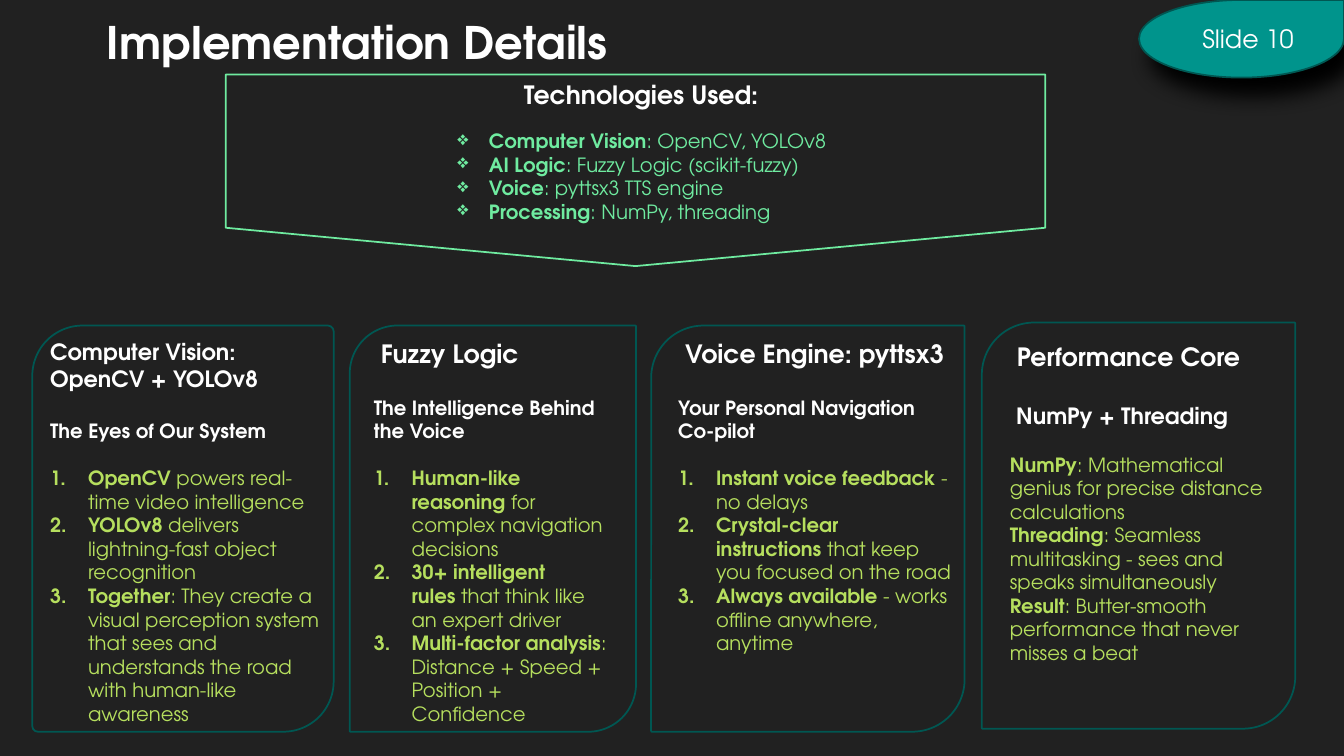
from lxml.etree import SubElement
from pptx import Presentation
from pptx.dml.color import RGBColor
from pptx.enum.shapes import MSO_SHAPE
from pptx.enum.text import MSO_AUTO_SIZE
from pptx.oxml.ns import qn
from pptx.util import Pt

# Content: boxes are left, top, width, height in points
FONT = "TeX Gyre Adventor"
COLORS = {"background": "212121", "white": "FFFFFF", "mint": "6FEBA0",
          "lime": "B6DF5E", "teal": "00948C", "dark_teal": "005752",
          "shadow": "000000"}

TITLE = "Implementation Details"
SLIDE_LABEL = "Slide 10"
TECH_HEADING = "Technologies Used:"
TECHNOLOGIES = [
    ("Computer Vision", ": OpenCV, YOLOv8"),
    ("AI Logic", ": Fuzzy Logic (scikit-fuzzy)"),
    ("Voice", ": pyttsx3 TTS engine"),
    ("Processing", ": NumPy, threading"),
]
CARDS = [
    {"frame": (23.04, 232.56, 215.28, 290.16), "corner": 0.019,
     "body": (28.8, 238.32, 215.28, 307.44),
     "heading": "Computer Vision: OpenCV + YOLOv8", "heading_size": 16,
     "subheading": "The Eyes of Our System",
     "points": [
         ("OpenCV", " powers real-time video intelligence"),
         ("YOLOv8", " delivers lightning-fast object recognition"),
         ("Together", ": They create a visual perception system that sees and "
                      "understands the road with human-like awareness")]},
    {"frame": (249.84, 232.56, 204.48, 290.16),
     "body": (259.92, 238.32, 181.44, 307.44),
     "heading": "Fuzzy Logic", "heading_indent": 5,
     "subheading": "The Intelligence Behind the Voice",
     "points": [
         ("Human-like reasoning", " for complex navigation decisions"),
         ("30+ intelligent rules", " that think like an expert driver"),
         ("Multi-factor analysis",
          ": Distance + Speed + Position + Confidence")]},
    {"frame": (465.12, 232.56, 223.92, 290.16),
     "body": (477.36, 238.32, 212.4, 257.04),
     "heading": "Voice Engine: pyttsx3", "heading_indent": 5,
     "subheading": "Your Personal Navigation Co-pilot",
     "points": [
         ("Instant voice feedback", " - no delays"),
         ("Crystal-clear instructions", " that keep you focused on the road"),
         ("Always available", " - works offline anywhere, anytime")]},
    {"frame": (701.28, 230.4, 223.92, 290.16),
     "body": (714.24, 240.48, 204.48, 262.08),
     "heading": "Performance Core", "heading_indent": 5,
     "subheading": "NumPy + Threading", "subheading_size": 16,
     "subheading_indent": 4.5, "subheading_gap": 21.6, "numbered": False,
     "points": [
         ("NumPy", ": Mathematical genius for precise distance calculations"),
         ("Threading", ": Seamless multitasking - sees and speaks "
                       "simultaneously"),
         ("Result", ": Butter-smooth performance that never misses a beat")]},
]

NO_BREAK_SPACE = chr(160)

presentation = Presentation()
presentation.slide_width, presentation.slide_height = Pt(960), Pt(540)
slide = presentation.slides.add_slide(presentation.slide_layouts[6])


def rgb(name):
    return RGBColor.from_string(COLORS[name])


def add_outline(preset, box, line, fill=None, adjustments=()):
    outline = slide.shapes.add_shape(preset, *map(Pt, box))
    outline.shadow.inherit = False
    for index, value in enumerate(adjustments):
        outline.adjustments[index] = value
    if fill:
        outline.fill.solid()
        outline.fill.fore_color.rgb = rgb(fill)
    else:
        outline.fill.background()
    outline.line.color.rgb = rgb(line)
    outline.line.width = Pt(1.25)
    return outline


def add_frame(box):
    frame = slide.shapes.add_textbox(*map(Pt, box)).text_frame
    frame.word_wrap = True
    frame.auto_size = MSO_AUTO_SIZE.SHAPE_TO_FIT_TEXT
    return frame


def add_text(frame, lead, rest="", size=14, color="white", bold=True,
             before=0, indent=0, bullet=None):
    """Write one paragraph: a lead, then an optional regular-weight rest."""
    first = not frame.paragraphs[0].runs
    paragraph = frame.paragraphs[0] if first else frame.add_paragraph()
    properties = paragraph._p.get_or_add_pPr()
    if indent:
        properties.set("marL", str(Pt(indent)))
    if bullet:
        properties.set("indent", str(-Pt(indent)))
        tag, attribute, value = bullet
        SubElement(properties, qn(tag)).set(attribute, value)
    if before and not first:
        paragraph.space_before = Pt(before)
    if rest.startswith(" "):  # keep the lead's last word with the next one
        rest = rest.replace(" ", NO_BREAK_SPACE, 1)
    for words, weight in ((lead, bold), (rest, False)):
        if words:
            run = paragraph.add_run()
            run.text = words
            run.font.name = FONT
            run.font.size = Pt(size)
            run.font.bold = weight
            run.font.color.rgb = rgb(color)


def add_shadow(outline, blur, distance, angle):
    effects = outline._element.spPr.find(qn("a:effectLst"))
    shadow = SubElement(effects, qn("a:outerShdw"), blurRad=str(Pt(blur)),
                        dist=str(Pt(distance)), dir=str(angle * 60000),
                        algn="tl", rotWithShape="0")
    SubElement(shadow, qn("a:srgbClr"), val=COLORS["shadow"])


# Background and title
slide.background.fill.solid()
slide.background.fill.fore_color.rgb = rgb("background")
add_text(add_frame((69.12, 7.2, 792, 46.08)), TITLE, size=32)

# Technologies banner
add_outline(MSO_SHAPE.FLOWCHART_OFFPAGE_CONNECTOR,
            (161.28, 53.28, 585.36, 136.8), "mint")
add_text(add_frame((367.2, 53.28, 453.6, 28.8)), TECH_HEADING, size=18)
technologies = add_frame((319.68, 88.56, 423.36, 97.2))
for name, tools in TECHNOLOGIES:
    add_text(technologies, name, tools, color="mint", indent=22.5,
             bullet=("a:buChar", "char", "❖"))

# Slide number badge
badge = add_outline(MSO_SHAPE.TEAR, (813.6, 0, 146.4, 55.44), "dark_teal",
                    fill="teal")
add_shadow(badge, blur=15, distance=15, angle=58)
add_text(add_frame((851.76, 12.96, 87.84, 28.8)), SLIDE_LABEL, size=18,
         bold=False)

# Component cards
for card in CARDS:
    add_outline(MSO_SHAPE.ROUND_2_DIAG_RECTANGLE, card["frame"], "dark_teal",
                adjustments=(0.167, card.get("corner", 0.003)))
    body = add_frame(card["body"])
    add_text(body, card["heading"], size=card.get("heading_size", 18),
             indent=card.get("heading_indent", 0))
    add_text(body, card["subheading"], size=card.get("subheading_size", 14),
             indent=card.get("subheading_indent", 0),
             before=card.get("subheading_gap", 19.2))
    numbered = card.get("numbered", True)
    for position, (lead, rest) in enumerate(card["points"]):
        add_text(body, lead, rest, color="lime",
                 before=0 if position else 16.8,
                 indent=27 if numbered else 0,
                 bullet=("a:buAutoNum", "type", "arabicPeriod")
                 if numbered else None)

presentation.save("out.pptx")
